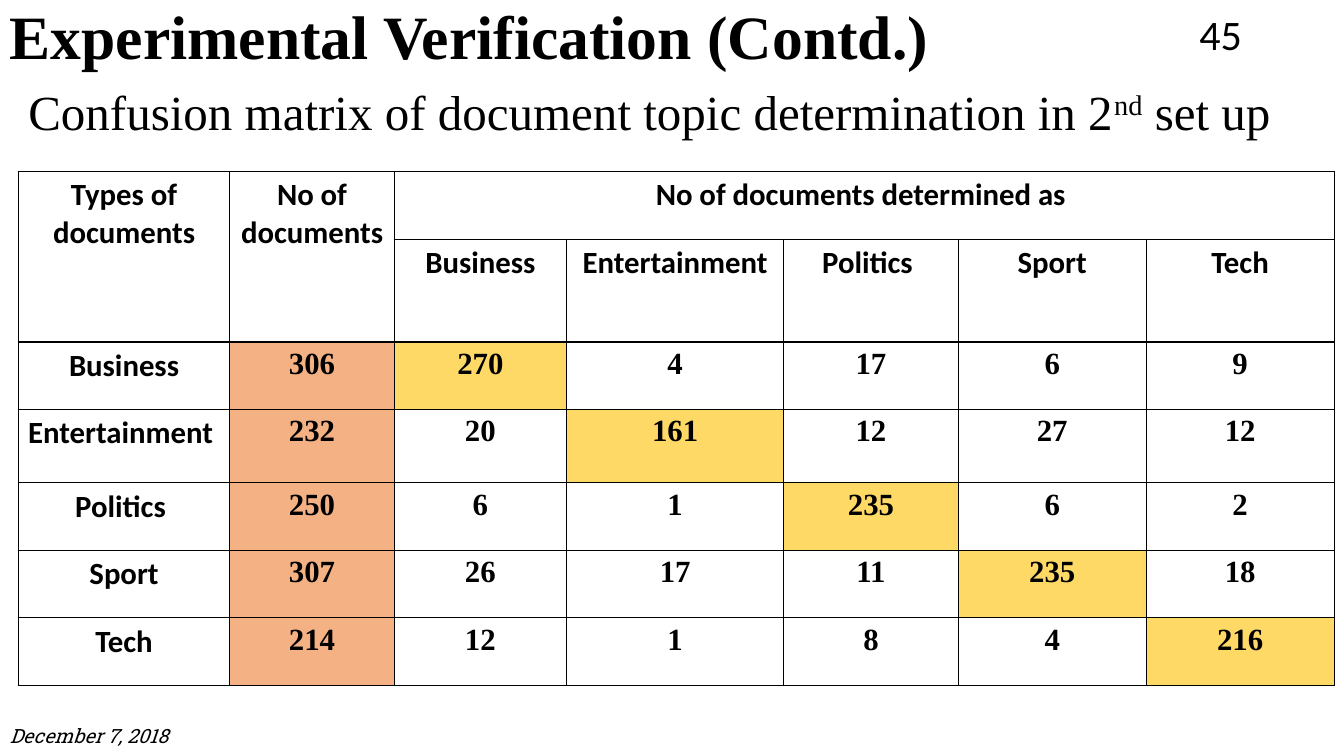
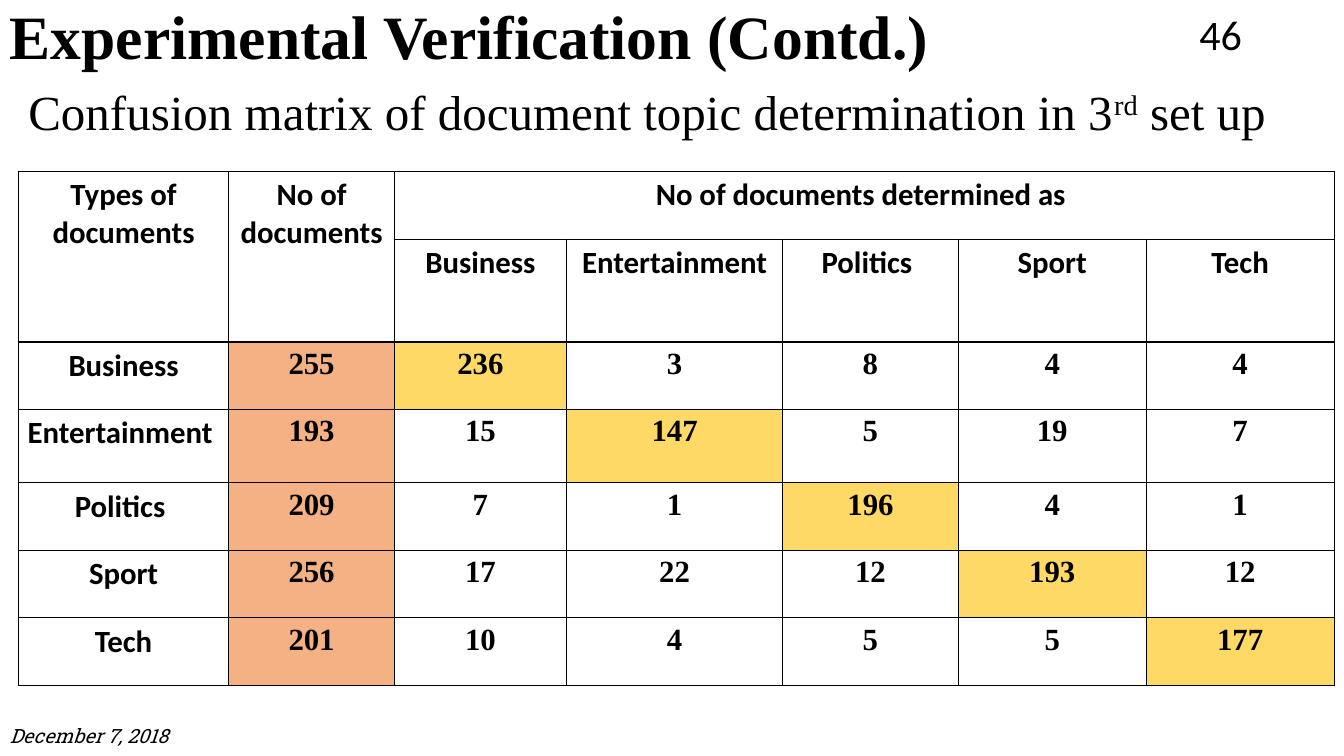
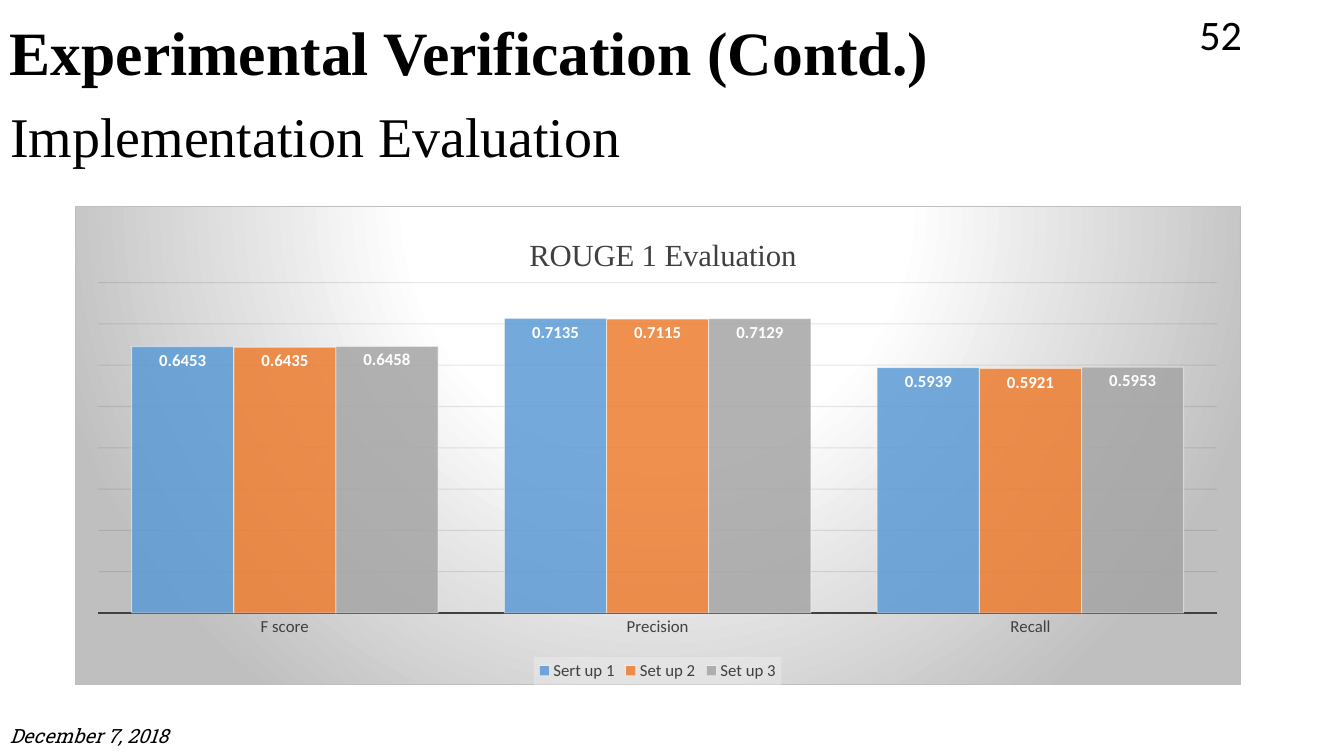
from lxml import etree
from pptx import Presentation
from pptx import util as u
from pptx.chart import data as cd
from pptx.dml import color
from pptx.enum import chart as ce
from pptx.enum import text
from pptx.oxml import ns, parse_xml

Pt = u.Pt
SERIF, SANS, SLAB = "Times New Roman", "Calibri", "Roboto Slab"
BLACK, WHITE, GREY, SILVER = "000000", "FFFFFF", "404040", "BFBFBF"
TOTAL, DIAGONAL = "F4B183", "FFD966"
LEFT, CENTER, RIGHT = text.PP_ALIGN.LEFT, text.PP_ALIGN.CENTER, text.PP_ALIGN.RIGHT

HEADING = "Experimental Verification (Contd.)"
DATE = "December 7, 2018"
HEADING_FONT = dict(name=SERIF, size=Pt(44), bold=True)
DATE_FONT = dict(name=SLAB, size=Pt(14), italic=True)
NUMBER_FONT = dict(name=SANS, size=Pt(30))

TOPICS = ["Business", "Entertainment", "Politics ", "Sport", "Tech"]
ROW_TOPICS = ["Business", "Entertainment ", "Politics ", "Sport", "Tech"]
HEADERS = ["Types of documents", "No of documents", "No of documents determined as "]
ROW_HEIGHTS = [48.5, 73.5, 48.2, 52.4, 48.2, 48.2, 48.2]
MATRICES = [
    dict(number="45", setup="2", suffix="nd",
         widths=[151.2, 117.4, 123.1, 155.2, 124.6, 134.3, 134.3],
         counts=[[306, 270, 4, 17, 6, 9],
                 [232, 20, 161, 12, 27, 12],
                 [250, 6, 1, 235, 6, 2],
                 [307, 26, 17, 11, 235, 18],
                 [214, 12, 1, 8, 4, 216]]),
    dict(number="46", setup="3", suffix="rd",
         widths=[150.5, 118.1, 123.1, 154.4, 125.4, 134.3, 134.3],
         counts=[[255, 236, 3, 8, 4, 4],
                 [193, 15, 147, 5, 19, 7],
                 [209, 7, 1, 196, 4, 1],
                 [256, 17, 22, 12, 193, 12],
                 [201, 10, 4, 5, 5, 177]]),
]
MEASURES = ["F score", "Precision", "Recall"]
SETUPS = [("Sert up 1", [0.6453, 0.7135, 0.5939], "5B9BD5"),
          ("Set up 2", [0.6435, 0.7115, 0.5921], "ED7D31"),
          ("Set up 3", [0.6458, 0.7129, 0.5953], "A5A5A5")]


def rgb(value):
    return color.RGBColor.from_string(value)


def style(font, fill=BLACK, **values):
    for key, value in values.items():
        setattr(font, key, value)
    font.color.rgb = rgb(fill)


def write(tf, runs, align, font, spacing=None):
    tf.word_wrap = True
    tf.auto_size = text.MSO_AUTO_SIZE.NONE
    tf.vertical_anchor = text.MSO_ANCHOR.MIDDLE
    p = tf.paragraphs[0]
    p.alignment, p.line_spacing = align, spacing
    for content, raised in runs:
        r = p.add_run()
        r.text = content
        style(r.font, **font)
        if raised:
            r._r.get_or_add_rPr().set("baseline", "30000")


def add_text(s, box, content, font, align=LEFT, spacing=None):
    sp = s.shapes.add_textbox(*map(Pt, box))
    write(sp.text_frame, [(content, False)], align, font, spacing)


def add_slide(prs, number, title_box, title_runs, title_size, heading_box):
    s = prs.slides.add_slide(prs.slide_layouts[5])
    title = s.shapes.title
    title.left, title.top, title.width, title.height = map(Pt, title_box)
    write(title.text_frame, title_runs, LEFT, dict(name=SERIF, size=Pt(title_size)), 0.9)
    add_text(s, heading_box, HEADING, HEADING_FONT, spacing=0.9)
    add_text(s, (0, 511.2, 216, 28.8), DATE, DATE_FONT)
    add_text(s, (678.2, 9.4, 216, 28.8), number, NUMBER_FONT, RIGHT)
    return s


def solid(value, alpha=100):
    return (f'<a:solidFill {ns.nsdecls("a")}><a:srgbClr val="{value}">'
            f'<a:alpha val="{alpha * 1000}"/></a:srgbClr></a:solidFill>')


def add_borders(cell):
    tc_pr = cell._tc.get_or_add_tcPr()
    for side in ("lnL", "lnR", "lnT", "lnB"):
        ln = etree.SubElement(tc_pr, ns.qn("a:" + side), w="12700")
        ln.append(parse_xml(solid(BLACK)))


def fill_cell(cell, content, font_name, fill):
    add_borders(cell)
    cell.fill.solid()
    cell.fill.fore_color.rgb = rgb(fill)
    cell.margin_left = cell.margin_right = Pt(5.4)
    if content:
        p = cell.text_frame.paragraphs[0]
        p.alignment = CENTER
        r = p.add_run()
        r.text = str(content)
        style(r.font, name=font_name, size=Pt(22), bold=True)


def add_matrix(s, widths, counts):
    rows = [HEADERS + [""] * 4, ["", ""] + TOPICS]
    rows += [[topic] + line for topic, line in zip(ROW_TOPICS, counts)]
    frame = s.shapes.add_table(len(rows), len(widths), Pt(13), Pt(122.4),
                               Pt(sum(widths)), Pt(sum(ROW_HEIGHTS)))
    table = frame.table
    table.first_row = table.horz_banding = False
    for col, width in zip(table.columns, widths):
        col.width = Pt(width)
    for row, height in zip(table.rows, ROW_HEIGHTS):
        row.height = Pt(height)
    for i, line in enumerate(rows):
        for j, content in enumerate(line):
            is_count = i > 1 and j > 0
            fill = WHITE
            if is_count:
                fill = TOTAL if j == 1 else DIAGONAL if i == j else WHITE
            fill_cell(table.cell(i, j), content, SERIF if is_count else SANS, fill)
    for first, last in (((0, 0), (1, 0)), ((0, 1), (1, 1)), ((0, 2), (0, 6))):
        table.cell(*first).merge(table.cell(*last))


def layout(target, **values):
    modes = "".join(f'<c:{k}Mode val="edge"/>' for k in "xy")
    places = "".join(f'<c:{k} val="{v}"/>' for k, v in values.items())
    inner = '<c:layoutTarget val="inner"/>' if "w" in values else ""
    for old in target.findall(ns.qn("c:layout")):
        target.remove(old)
    node = parse_xml(f'<c:layout {ns.nsdecls("c")}><c:manualLayout>{inner}{modes}{places}'
                     '</c:manualLayout></c:layout>')
    tx = target.find(ns.qn("c:tx"))
    if tx is None:
        target.insert(0, node)
    else:
        tx.addnext(node)


def set_alpha(fill_parent, percent):
    clr = next(fill_parent.iter(ns.qn("a:srgbClr")))
    etree.SubElement(clr, ns.qn("a:alpha"), val=str(percent * 1000))


def add_scores(s):
    data = cd.CategoryChartData()
    data.categories = MEASURES
    for name, values, _ in SETUPS:
        data.add_series(name, values)
    chart = s.shapes.add_chart(ce.XL_CHART_TYPE.COLUMN_CLUSTERED, Pt(53.3), Pt(146.9),
                               Pt(833), Pt(342.7), data).chart
    style(chart.font, name=SANS, size=Pt(10))

    chart.has_title = True
    p = chart.chart_title.text_frame.paragraphs[0]
    r = p.add_run()
    r.text = "ROUGE 1 Evaluation"
    style(r.font, GREY, name=SERIF, size=Pt(22), bold=False)
    layout(chart.chart_title._element, x=0.385, y=0.05)

    chart.has_legend = True
    chart.legend.position = ce.XL_LEGEND_POSITION.BOTTOM
    chart.legend.include_in_layout = False
    style(chart.legend.font, GREY, name=SANS, size=Pt(12))
    legend_fill = parse_xml(f'<c:spPr {ns.nsdecls("c", "a")}>{solid("F2F2F2", 39)}</c:spPr>')
    chart.legend._element.find(ns.qn("c:txPr")).addprevious(legend_fill)

    plot = chart.plots[0]
    plot.gap_width, plot.overlap, plot.vary_by_categories = 65, 0, False
    plot.has_data_labels = True
    labels = plot.data_labels
    labels.show_value = True
    labels.position = ce.XL_LABEL_POSITION.INSIDE_END
    style(labels.font, WHITE, name=SANS, size=Pt(12), bold=True)
    for series, (_, _, fill) in zip(plot.series, SETUPS):
        series.format.fill.solid()
        series.format.fill.fore_color.rgb = rgb(fill)
        series.format.line.width = Pt(0.75)
        series.format.line.color.rgb = rgb(WHITE)
        sp_pr = series._element.find(ns.qn("c:spPr"))
        set_alpha(sp_pr.find(ns.qn("a:solidFill")), 85)
        set_alpha(sp_pr.find(ns.qn("a:ln")), 50)

    cats, vals = chart.category_axis, chart.value_axis
    cats.major_tick_mark = ce.XL_TICK_MARK.NONE
    style(cats.tick_labels.font, GREY, name=SANS, size=Pt(12))
    cats.format.line.width = Pt(1.5)
    cats.format.line.color.rgb = rgb(GREY)
    vals.visible = False
    vals.minimum_scale, vals.maximum_scale, vals.major_unit = 0, 0.8, 0.1
    vals.has_major_gridlines = True
    grid = vals.major_gridlines
    grid.format.line.width = Pt(0.75)
    grid.format.line.color.rgb = rgb("0D0D0D")
    set_alpha(vals._element.find(ns.qn("c:majorGridlines")), 10)

    root = chart._chartSpace
    layout(next(root.iter(ns.qn("c:plotArea"))), x=0.02, y=0.16, w=0.96, h=0.69)
    stops = "".join(f'<a:gs pos="{pos * 1000}"><a:srgbClr val="{value}"/></a:gs>'
                    for pos, value in ((0, WHITE), (39, WHITE), (100, SILVER)))
    root.find(ns.qn("c:chart")).addnext(parse_xml(
        f'<c:spPr {ns.nsdecls("c", "a")}><a:gradFill><a:gsLst>{stops}</a:gsLst>'
        '<a:path path="circle"><a:fillToRect l="50000" t="-80000" r="50000" b="180000"/>'
        f'</a:path></a:gradFill><a:ln w="9525">{solid(SILVER)}</a:ln></c:spPr>'))


def main():
    prs = Presentation()
    prs.slide_width, prs.slide_height = Pt(960), Pt(540)
    for matrix in MATRICES:
        runs = [("Confusion matrix of document topic determination in " + matrix["setup"], False),
                (matrix["suffix"], True), (" set up", False)]
        s = add_slide(prs, matrix["number"], (13, 59.8, 913.7, 43.9), runs, 35,
                      (0, 0, 856, 56.9))
        add_matrix(s, matrix["widths"], matrix["counts"])
    s = add_slide(prs, "52", (0, 70.6, 828, 58.3), [("Implementation Evaluation", False)], 40,
                  (0, 0, 843, 79.2))
    add_scores(s)
    prs.save("out.pptx")


if __name__ == "__main__":
    main()
